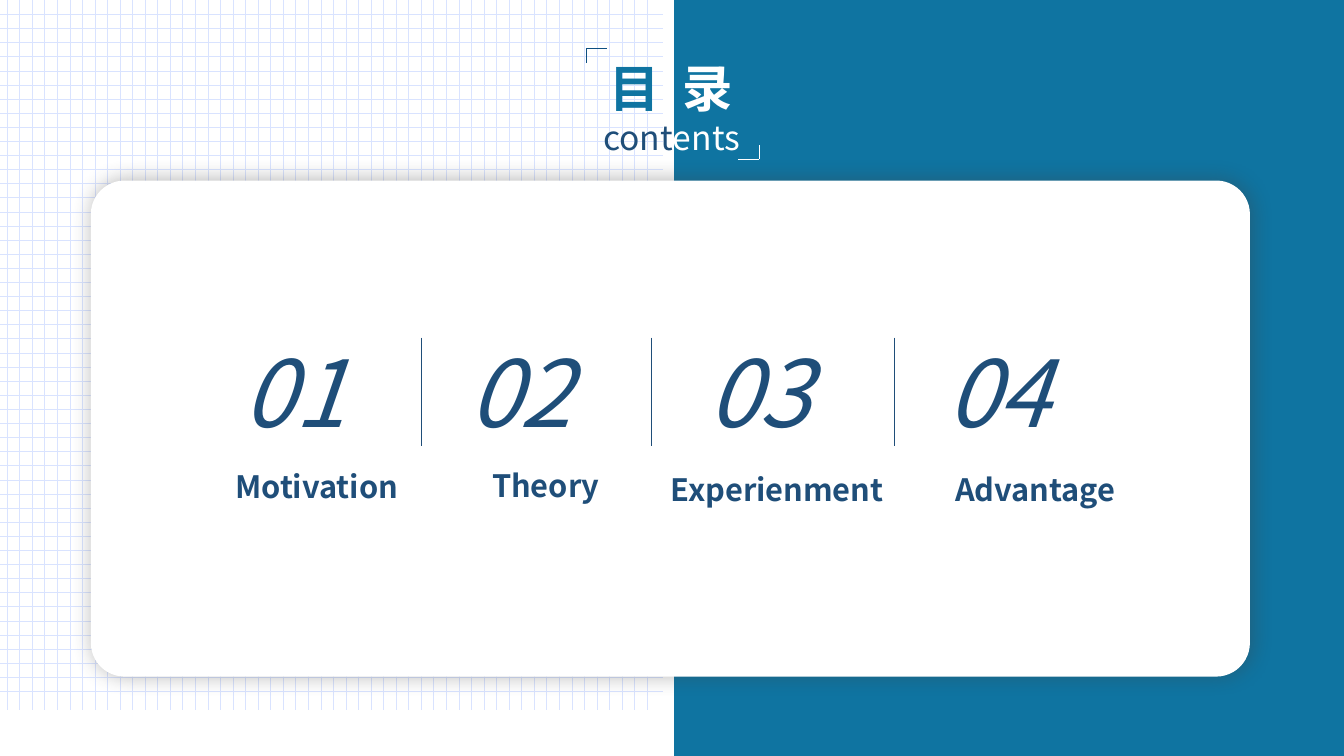
from dataclasses import dataclass

from lxml.etree import SubElement
from pptx import Presentation
from pptx.dml.color import RGBColor as RGB
from pptx.enum.shapes import MSO_CONNECTOR as Connector, MSO_SHAPE as Shape
from pptx.enum.text import MSO_ANCHOR as Anchor, MSO_AUTO_SIZE as AutoSize, PP_ALIGN as Align
from pptx.oxml.ns import qn
from pptx.util import Cm, Pt


@dataclass(frozen=True)
class Theme:
    font: str = "Noto Sans CJK SC"
    blue: str = "0F74A1"
    navy: str = "1F4E79"
    bracket: str = "0D4E81"
    grid: str = "D9E3FF"
    white: str = "FFFFFF"
    shadow: str = "404040"
    heading: int = 36
    subheading: int = 24
    number: int = 66
    label: int = 22


class ContentsSlide:
    def __init__(self, deck, theme):
        self.theme = theme
        self.slide = deck.slides.add_slide(deck.slide_layouts[5])
        self.shapes = self.slide.shapes

    def line(self, start, end, color, width=0.5, group=None):
        ends = [Cm(value) for value in (*start, *end)]
        shapes = group.shapes if group else self.shapes
        rule = shapes.add_connector(Connector.STRAIGHT, *ends)
        rule.line.color.rgb = RGB.from_string(color)
        rule.line.width = Pt(width)
        SubElement(rule.element.spPr, qn("a:effectLst"))

    def grid(self, left, right, top, bottom, rows, columns):
        group = self.shapes.add_group_shape()
        first, last, count = rows
        for i in range(count):
            y = first + (last - first) * i / (count - 1)
            self.line((left, y), (right, y), self.theme.grid, 0.25, group)
        first, last, count = columns
        for i in range(count):
            x = first + (last - first) * i / (count - 1)
            self.line((x, top), (x, bottom), self.theme.grid, 0.5, group)

    def bracket(self, corner, x_end, y_end, color):
        group = self.shapes.add_group_shape()
        self.line(corner, (x_end, corner[1]), color, group=group)
        self.line(corner, (corner[0], y_end), color, group=group)

    def block(self, kind, box, color):
        area = self.shapes.add_shape(kind, *map(Cm, box))
        area.shadow.inherit = False
        area.fill.solid()
        area.fill.fore_color.rgb = RGB.from_string(color)
        area.line.fill.background()
        return area

    def card(self, box, radius):
        card = self.block(Shape.ROUNDED_RECTANGLE, box, self.theme.white)
        card.adjustments[0] = radius
        effects = card.element.spPr.find(qn("a:effectLst"))
        shadow = SubElement(effects, qn("a:outerShdw"), blurRad=str(Pt(15)),
                            dist=str(Pt(2)), dir="0", algn="ctr", rotWithShape="0")
        tint = SubElement(shadow, qn("a:srgbClr"), val=self.theme.shadow)
        SubElement(tint, qn("a:alpha"), val="40000")

    def style(self, paragraph, size, align, bold=False, italic=False):
        paragraph.alignment = align
        paragraph.line_spacing = 1.0
        paragraph.space_before = Pt(0)
        font = paragraph.font
        font.name = self.theme.font
        font.size = Pt(size)
        font.bold = bold
        font.italic = italic
        font.color.rgb = RGB.from_string(self.theme.navy)

    def fit(self, holder):
        frame = holder.text_frame
        frame.word_wrap = True
        frame.auto_size = AutoSize.SHAPE_TO_FIT_TEXT
        frame.vertical_anchor = Anchor.TOP
        for props in holder.element.iter(qn("a:defRPr")):
            SubElement(props, qn("a:ea"), typeface=self.theme.font)

    def title(self, box, lines):
        title = self.shapes.title
        title.left, title.top, title.width, title.height = map(Cm, box)
        title.element.getparent().append(title.element)
        frame = title.text_frame
        for i, (size, bold, parts) in enumerate(lines):
            paragraph = frame.add_paragraph() if i else frame.paragraphs[0]
            self.style(paragraph, size, Align.CENTER, bold)
            for words, color in parts:
                run = paragraph.add_run()
                run.text = words
                run.font.color.rgb = RGB.from_string(color)
        self.fit(title)
        next(title.element.iter(qn("a:rPr"))).set("spc", "400")

    def text(self, box, words, size, align, bold=False, italic=False):
        holder = self.shapes.add_textbox(*map(Cm, box))
        paragraph = holder.text_frame.paragraphs[0]
        paragraph.text = words
        self.style(paragraph, size, align, bold, italic)
        self.fit(holder)
        return holder

    def number(self, box, words):
        holder = self.text(box, words, self.theme.number, Align.LEFT, italic=True)
        props = next(holder.element.iter(qn("a:defRPr")))
        outline = SubElement(props, qn("a:ln"), w=str(Pt(0.75)))
        fill = SubElement(outline, qn("a:solidFill"))
        SubElement(fill, qn("a:srgbClr"), val=self.theme.navy)
        props.insert(0, outline)


def main():
    theme = Theme()
    deck = Presentation()
    deck.slide_width, deck.slide_height = Cm(33.87), Cm(19.05)
    page = ContentsSlide(deck, theme)

    page.grid(-0.2, 16.71, -1.17, 17.88, rows=(0.36, 17.42, 49), columns=(0.18, 16.31, 52))
    page.block(Shape.RECTANGLE, (16.99, 0, 16.88, 19.05), theme.blue)
    page.card((2.29, 4.55, 29.21, 12.5), 0.068)
    page.title((11.58, 1.3, 10.69, 2.82), [
        (theme.heading, True, [("目 ", theme.blue), ("录", theme.white)]),
        (theme.subheading, False, [("cont", theme.navy), ("ents", theme.white)]),
    ])
    page.bracket((14.78, 1.22), 15.29, 1.6, theme.bracket)
    page.bracket((19.13, 4.01), 18.59, 3.66, theme.white)

    chapters = [
        ("Motivation", 5.87, (3.78, 11.66, 8.41)),
        ("Theory", 11.56, (9.55, 11.63, 8.41)),
        ("Experienment", 17.58, (16.41, 11.73, 6.35)),
        ("Advantage", 23.6, (21.89, 11.73, 8.41)),
    ]
    for index, (name, number_left, label_box) in enumerate(chapters, 1):
        page.number((number_left, 8.31, 5.54, 3.07), f"{index:02}")
        page.text((*label_box, 1.19), name, theme.label, Align.CENTER, bold=True)
    for x in (10.62, 16.41, 22.53):
        page.line((x, 8.51), (x, 11.23), theme.navy)

    deck.save("out.pptx")


if __name__ == "__main__":
    main()
